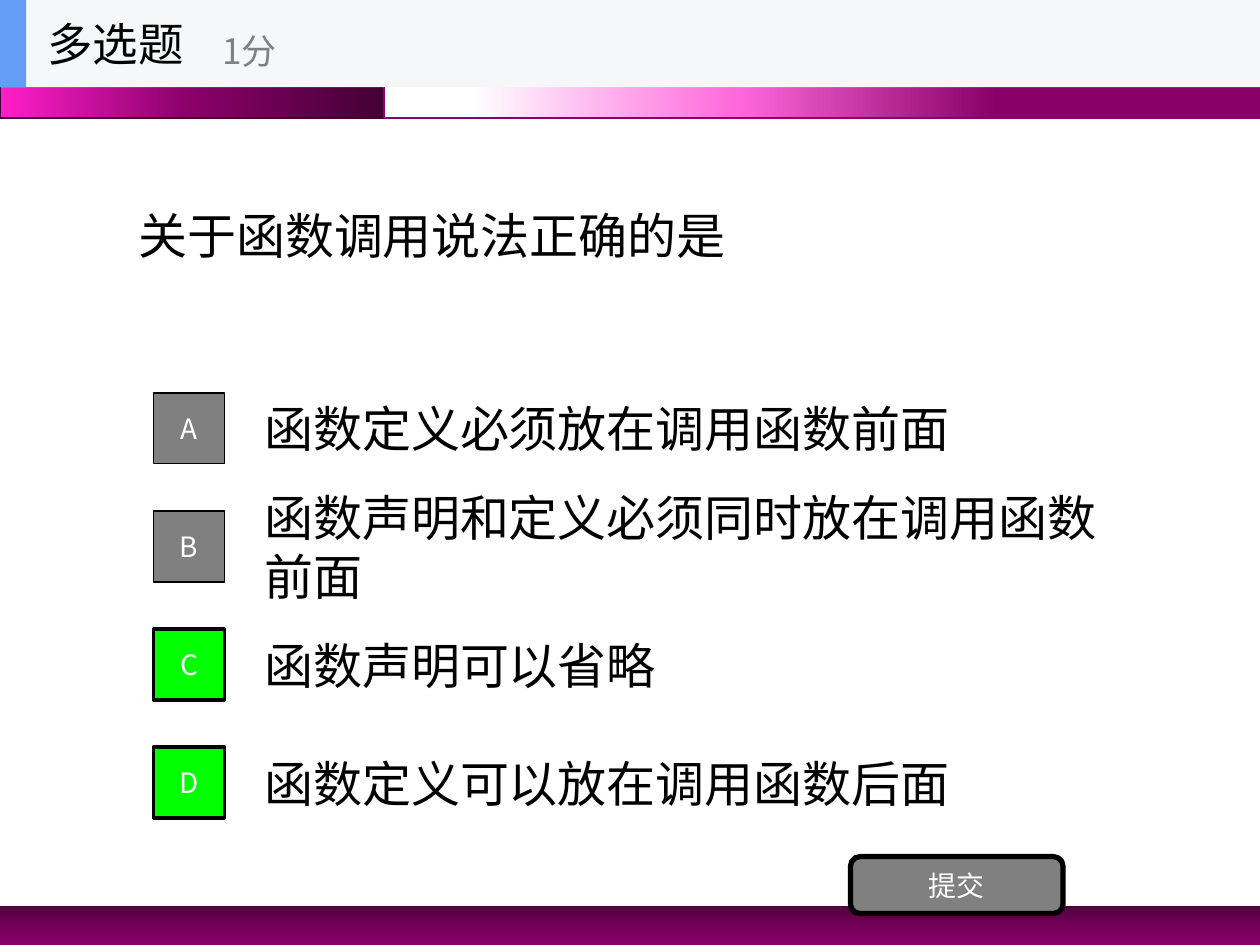
import pptx
import pptx.dml.color
import pptx.enum.shapes
import pptx.enum.text
import pptx.oxml
import pptx.oxml.ns
import pptx.util

Pt = pptx.util.Pt
SHAPE = pptx.enum.shapes.MSO_SHAPE
ALIGN = pptx.enum.text.PP_ALIGN

BODY_FONT = "Arial"
LABEL_FONT = "Noto Sans CJK SC"
GREY, GREEN, BLACK, WHITE = "808080", "00FF00", "000000", "FFFFFF"

QUESTION = "关于函数调用说法正确的是"
CHOICES = [
    ("A", "函数定义必须放在调用函数前面", False),
    ("B", "函数声明和定义必须同时放在调用函数前面", False),
    ("C", "函数声明可以省略", True),
    ("D", "函数定义可以放在调用函数后面", True),
]


def rgb(color):
    return pptx.dml.color.RGBColor.from_string(color)


def set_text(sp, text, size, font, color, align=ALIGN.LEFT, wrap=True):
    tf = sp.text_frame
    tf.word_wrap = wrap
    tf.vertical_anchor = pptx.enum.text.MSO_ANCHOR.MIDDLE
    p = tf.paragraphs[0]
    p.text = text
    p.alignment = align
    p.font.size = Pt(size)
    p.font.name = font
    p.font.color.rgb = rgb(color)
    # East Asian characters need their own typeface entry
    props = p.font._element if hasattr(p.font, "_element") else p._p.pPr.defRPr
    ea = pptx.oxml.parse_xml(
        f'<a:ea {pptx.oxml.ns.nsdecls("a")} typeface="{font}"/>')
    props.append(ea)


def add_text(shapes, box, text, size, font, color=BLACK, wrap=True):
    sp = shapes.add_textbox(*map(Pt, box))
    set_text(sp, text, size, font, color, wrap=wrap)


def add_block(shapes, box, fill=None, line=None, width=1, kind=SHAPE.RECTANGLE):
    sp = shapes.add_shape(kind, *map(Pt, box))
    sp.shadow.inherit = False
    if fill:
        sp.fill.solid()
        sp.fill.fore_color.rgb = rgb(fill)
    if line:
        sp.line.color.rgb = rgb(line)
        sp.line.width = Pt(width)
    else:
        sp.line.fill.background()
    return sp


def add_gradient_block(shapes, box, stops, angle, line=None):
    """Angle is in degrees, clockwise; stops are (percent, colour) pairs."""
    sp = add_block(shapes, box, line=line)
    gs = "".join(
        f'<a:gs pos="{pos * 1000}"><a:srgbClr val="{color}"/></a:gs>'
        for pos, color in stops)
    grad = pptx.oxml.parse_xml(
        f'<a:gradFill {pptx.oxml.ns.nsdecls("a")} rotWithShape="1">'
        f'<a:gsLst>{gs}</a:gsLst><a:lin ang="{angle * 60000}" scaled="0"/>'
        '</a:gradFill>')
    sp._element.spPr.find(pptx.oxml.ns.qn("a:prstGeom")).addnext(grad)


def add_theme_bands(shapes, width, height):
    split, top_h, foot_h = 219.6, 67.5, 22.5
    add_gradient_block(
        shapes, (0, height - foot_h, width, foot_h),
        [(0, "51003E"), (50, "730058"), (100, "880068")], 90)
    add_gradient_block(
        shapes, (0, 0, split, top_h),
        [(0, "440034"), (50, "880068"), (100, "FF1FCA")], 180, "440034")
    add_gradient_block(
        shapes, (split, 0, width - split, top_h),
        [(30, "880068"), (60, "FF69DC"), (90, "FFFFFF")], 180, "880068")


def add_choices(shapes, left, top, width, pitch):
    badge, row_h, indent = 40.5, 50.4, 56.25
    for i, (letter, text, correct) in enumerate(CHOICES):
        y = top + i * pitch
        add_text(shapes, (left + indent, y, width - indent, row_h),
                 text, 28, BODY_FONT)
        sp = add_block(shapes, (left, y + (row_h - badge) / 2, badge, badge),
                       GREEN if correct else GREY, BLACK, 2 if correct else 1)
        set_text(sp, letter, 16, LABEL_FONT, WHITE, ALIGN.CENTER)


def add_submit_button(shapes, box):
    sp = add_block(shapes, box, GREY, BLACK, 3, SHAPE.ROUNDED_RECTANGLE)
    set_text(sp, "提交", 16, LABEL_FONT, WHITE, ALIGN.CENTER)


def add_title_bar(shapes, width, height):
    bar = shapes.add_group_shape().shapes
    add_block(bar, (0, 0, width, height), "F6F7F8")
    add_block(bar, (0, 0, 15, height), "639EF4")
    add_text(bar, (20, 0, 150, height), "多选题", 26, LABEL_FONT, wrap=False)
    add_text(bar, (120, 9, 180, 40), "1分", 20, LABEL_FONT, GREY, wrap=False)


def main():
    prs = pptx.Presentation()
    width, height = 720, 540
    prs.slide_width, prs.slide_height = Pt(width), Pt(height)
    s = prs.slides.add_slide(prs.slide_layouts[6])
    add_theme_bands(s.shapes, width, height)
    add_text(s.shapes, (72, 50, 576, 168.5), QUESTION, 28, BODY_FONT)
    add_choices(s.shapes, 87.75, 219.5, 560.25, 67.5)
    add_submit_button(s.shapes, (486, 489.5, 121.5, 32.5))
    add_title_bar(s.shapes, width, 49.75)
    prs.save("out.pptx")


if __name__ == "__main__":
    main()
